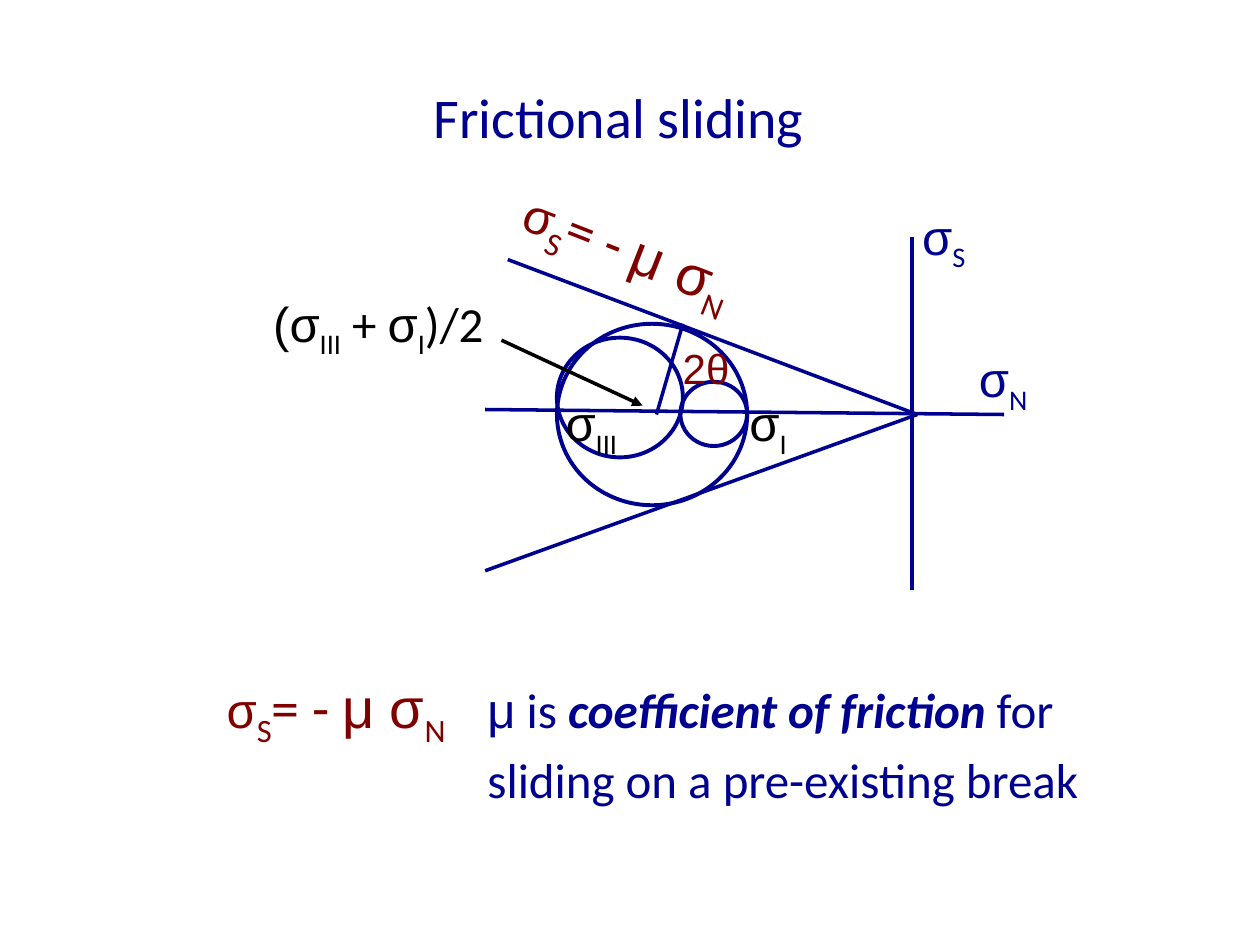
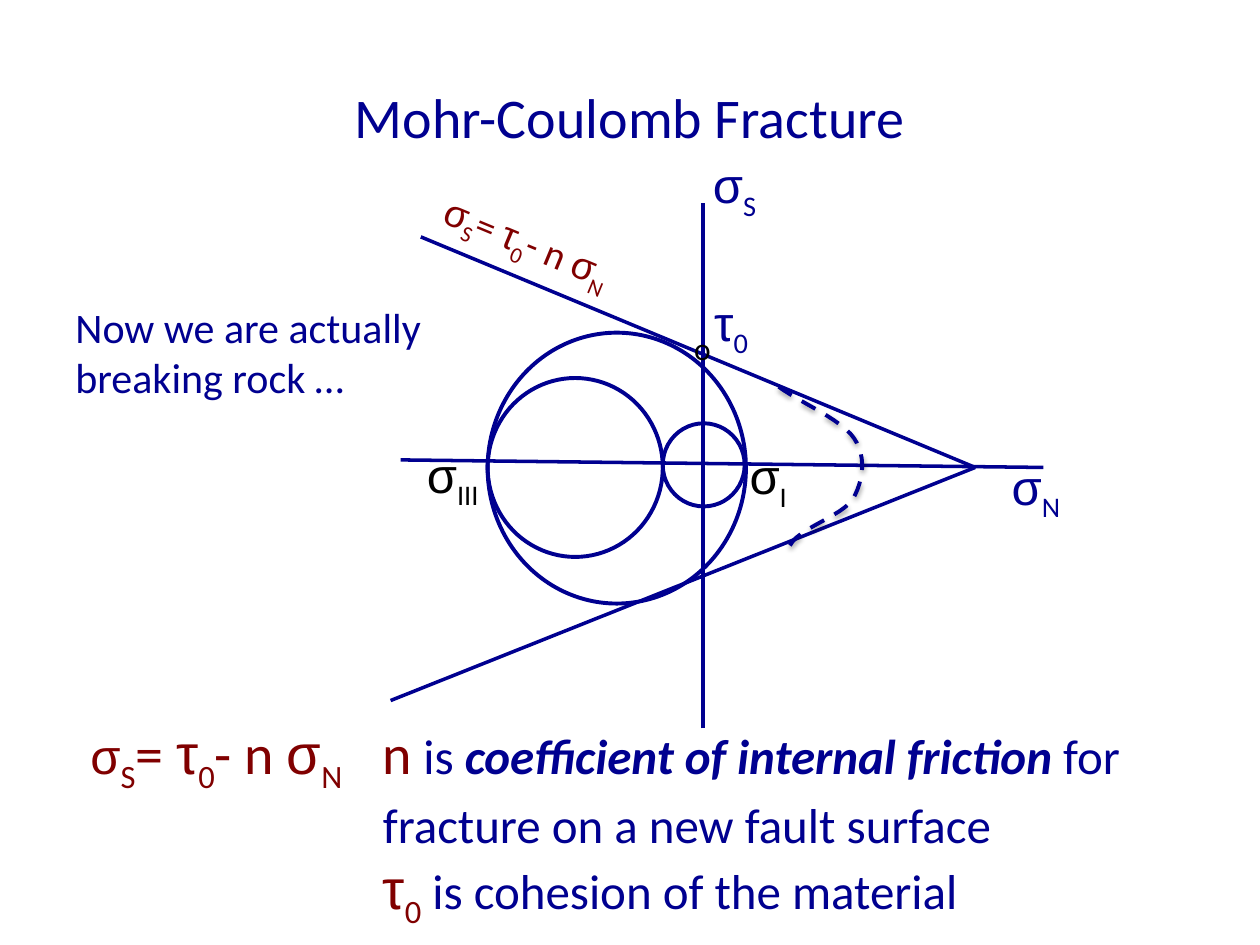
from dataclasses import dataclass

from lxml import etree
from pptx import Presentation
from pptx.dml.color import RGBColor
from pptx.enum.dml import MSO_LINE
from pptx.enum.shapes import MSO_CONNECTOR, MSO_SHAPE
from pptx.enum.text import MSO_ANCHOR, MSO_AUTO_SIZE, PP_ALIGN
from pptx.oxml import parse_xml
from pptx.oxml.ns import nsdecls, qn
from pptx.util import Inches, Pt

ELLIPSE = MSO_SHAPE.OVAL
STRAIGHT = MSO_CONNECTOR.STRAIGHT
DASH = MSO_LINE.DASH
MIDDLE = MSO_ANCHOR.MIDDLE
CENTER = PP_ALIGN.CENTER
FIT_TEXT = MSO_AUTO_SIZE.SHAPE_TO_FIT_TEXT


@dataclass(frozen=True)
class Theme:
    navy: RGBColor = RGBColor(0x00, 0x00, 0x90)
    maroon: RGBColor = RGBColor(0x80, 0x00, 0x00)
    black: RGBColor = RGBColor(0x00, 0x00, 0x00)
    plain_font: str = "Calibri"
    symbol_font: str = "Arial"
    title: int = 32
    formula: int = 32
    body: int = 28
    note: int = 24
    slope: int = 22
    marker: int = 18
    line: float = 2
    curve: float = 2.25


theme = Theme()
presentation = Presentation()
presentation.slide_width = Inches(10)
presentation.slide_height = Inches(7.5)
COLUMN = presentation.slide_width / 100
ROW = presentation.slide_height / 75


def place(*lengths):
    return [round(length * (ROW if index % 2 else COLUMN)) for index, length in enumerate(lengths)]


def add_text(slide, box, paragraphs, colour=theme.navy, size=theme.body, wrap=False, rotation=0, indent=0):
    shape = slide.shapes.add_textbox(*place(*box))
    shape.rotation = rotation
    frame = shape.text_frame
    frame.word_wrap = wrap
    frame.auto_size = FIT_TEXT
    for index, runs in enumerate(paragraphs):
        paragraph = frame.add_paragraph() if index else frame.paragraphs[0]
        if indent:
            properties = paragraph._p.get_or_add_pPr()
            properties.set("marL", str(round(indent * COLUMN)))
            properties.set("indent", str(0 if index else -round(indent * COLUMN)))
        for style, text, *changes in runs:
            size, colour = (changes + [size, colour][len(changes):])
            run = paragraph.add_run()
            run.text = text
            run.font.size = Pt(size)
            run.font.color.rgb = colour
            run.font.name = theme.symbol_font if style == "symbol" else theme.plain_font
            if style == "strong":
                run.font.bold = run.font.italic = True
            if style == "subscript":
                run._r.get_or_add_rPr().set("baseline", "-25000")
    return shape


sliding_law = [
    ("symbol", "σ", theme.body, theme.maroon), ("subscript", "S", theme.formula),
    ("plain", "= - "), ("symbol", "μ σ"), ("subscript", "N"),
]
fracture_law = [
    ("subscript", "S"), ("plain", "= "), ("symbol", "τ"), ("subscript", "0"),
    ("plain", "- n "), ("symbol", "σ"), ("subscript", "N"),
]

sliding = {
    "title": ("Frictional sliding", 4.1),
    "lines": [
        (38.5, 32.5, 79.7, 32.9), (72.4, 46.8, 72.4, 18.8),
        (40.3, 20.6, 72.8, 32.9), (38.5, 45.3, 72.8, 32.9),
        (52.1, 32.9, 54.2, 25.7),
    ],
    "circles": [(44.2, 25.7, 15.1, 14.4), (44.2, 26.8, 10, 9.5), (54, 30.3, 5.3, 5.1)],
    "axis_labels": [
        ("σ", "N", (76.7, 27.2, 6.1, 5.7), theme.navy),
        ("σ", "S", (72.2, 15.9, 5.6, 5.7), theme.navy),
        ("σ", "III", (43.9, 30.7, 6.4, 5.7), theme.black),
        ("σ", "I", (58.5, 30.7, 5, 5.7), theme.black),
    ],
    "texts": [
        dict(box=(40.2, 16.9, 21.6, 6.4), paragraphs=[sliding_law], wrap=True, rotation=21.4, indent=20.7),
        dict(box=(17, 52.9, 73.1, 11.1), wrap=True, indent=20.7, paragraphs=[sliding_law + [
            ("plain", "\t"), ("symbol", "μ", theme.body, theme.navy), ("plain", " is "),
            ("strong", "coefficient of friction "), ("plain", "for sliding on a pre-existing break"),
        ]]),
        dict(box=(20.7, 22.8, 19.1, 5.7), colour=theme.black, paragraphs=[[
            ("symbol", "(σ"), ("subscript", "III"), ("plain", " + "),
            ("symbol", "σ"), ("subscript", "I"), ("plain", ")/2"),
        ]]),
        dict(box=(53.2, 26.7, 6, 5), paragraphs=[[("symbol", "2θ")]],
             colour=theme.maroon, size=theme.note, wrap=True),
    ],
}

fracture = {
    "title": ("Mohr-Coulomb Fracture", 5),
    "lines": [
        (31.8, 36.5, 82.8, 37.1), (55.8, 57.8, 55.8, 16.1),
        (33.4, 18.8, 77.4, 37.1), (31, 55.6, 77.4, 37.1),
    ],
    "circles": [(38.7, 26.4, 20.5, 21.5), (38.7, 30, 13.9, 14.2), (52.6, 33.6, 6.5, 6.6)],
    "axis_labels": [
        ("σ", "N", (79.3, 35.7, 8.2, 8.5), theme.navy),
        ("σ", "S", (55.6, 11.8, 7.6, 8.5), theme.navy),
        ("σ", "III", (32.9, 34.8, 8.6, 8.5), theme.black),
        ("σ", "I", (58.5, 34.9, 6.8, 8.5), theme.black),
        ("τ", "0", (55.7, 22.7, 7, 8.5), theme.navy),
    ],
    "texts": [
        dict(box=(6.2, 56.5, 90.6, 16.5), wrap=True, indent=23.2, paragraphs=[
            [("symbol", "σ", theme.body, theme.maroon), ("subscript", "S", theme.formula)]
            + fracture_law[1:] + [
                ("plain", "\tn"), ("plain", " is ", theme.body, theme.navy),
                ("strong", "coefficient of internal friction"),
                ("plain", " for fracture on a new fault surface"),
            ],
            [("symbol", "τ", theme.formula, theme.maroon), ("subscript", "0"),
             ("plain", " is cohesion of the material", theme.body, theme.navy)],
        ]),
        dict(box=(54.1, 25.6, 4.1, 5.2), paragraphs=[[("plain", "o")]],
             colour=theme.black, size=theme.marker),
        dict(box=(33.9, 17, 16.7, 4.7), paragraphs=[[("symbol", "σ")] + fracture_law],
             colour=theme.maroon, size=theme.slope, rotation=22.6),
        dict(box=(5, 23.4, 31.1, 9.1), paragraphs=[[("plain", "Now we are actually breaking rock …")]],
             size=theme.note, wrap=True),
    ],
}

for content in (sliding, fracture):
    slide = presentation.slides.add_slide(presentation.slide_layouts[6])
    title, left = content["title"]
    shape = slide.shapes.add_textbox(*place(left, 3, 90, 12.5))
    shape.text_frame.word_wrap = True
    shape.text_frame.vertical_anchor = MIDDLE
    paragraph = shape.text_frame.paragraphs[0]
    paragraph.alignment = CENTER
    run = paragraph.add_run()
    run.text = title
    run.font.size = Pt(theme.title)
    run.font.name = theme.plain_font
    run.font.color.rgb = theme.navy

    for ends in content["lines"]:
        line = slide.shapes.add_connector(STRAIGHT, *place(*ends))
        line.line.color.rgb = theme.navy
        line.line.width = Pt(theme.line)
        etree.SubElement(line._element.spPr, qn("a:effectLst"))

    for box in content["circles"]:
        circle = slide.shapes.add_shape(ELLIPSE, *place(*box))
        circle.shadow.inherit = False
        circle.fill.background()
        circle.line.color.rgb = theme.navy
        circle.line.width = Pt(theme.curve)

    for symbol, subscript, box, colour in content["axis_labels"]:
        add_text(slide, box, [[("symbol", symbol), ("subscript", subscript)]], colour)
    for text in content["texts"]:
        add_text(slide, **text)

sliding_slide, fracture_slide = presentation.slides

arrow = sliding_slide.shapes.add_connector(STRAIGHT, *place(39.8, 27, 51, 32.2))
arrow.line.color.rgb = theme.black
arrow.line.width = Pt(theme.line)
etree.SubElement(arrow.line._get_or_add_ln(), qn("a:tailEnd"), type="triangle")
etree.SubElement(arrow._element.spPr, qn("a:effectLst"))

envelope_curves = [
    ((62.7, 43.3), (63.4, 41.9), (66.8, 41), (67.7, 39.6)),
    ((67.7, 39.6), (68.5, 38.2), (68.8, 36.3), (67.8, 34.8)),
    ((67.8, 34.8), (66.8, 33.3), (63.6, 32), (61.8, 30.7)),
]
STEPS = 12
points = [place(*envelope_curves[0][0])]
for curve in envelope_curves:
    for step in range(1, STEPS + 1):
        t = step / STEPS
        weights = ((1 - t) ** 3, 3 * t * (1 - t) ** 2, 3 * t ** 2 * (1 - t), t ** 3)
        points.append(place(*(sum(w * p[axis] for w, p in zip(weights, curve)) for axis in (0, 1))))
builder = fracture_slide.shapes.build_freeform(*points[0])
builder.add_line_segments(points[1:], close=False)
envelope = builder.convert_to_shape()
envelope.fill.background()
envelope.line.color.rgb = theme.navy
envelope.line.width = Pt(theme.curve)
envelope.line.dash_style = DASH
envelope._element.spPr.append(parse_xml(
    f'<a:effectLst {nsdecls("a")}><a:outerShdw blurRad="{Pt(3.1)}" dist="{Pt(1.6)}" dir="5400000" '
    f'rotWithShape="0"><a:srgbClr val="{theme.black}"><a:alpha val="38000"/></a:srgbClr>'
    '</a:outerShdw></a:effectLst>'
))

presentation.save("out.pptx")
